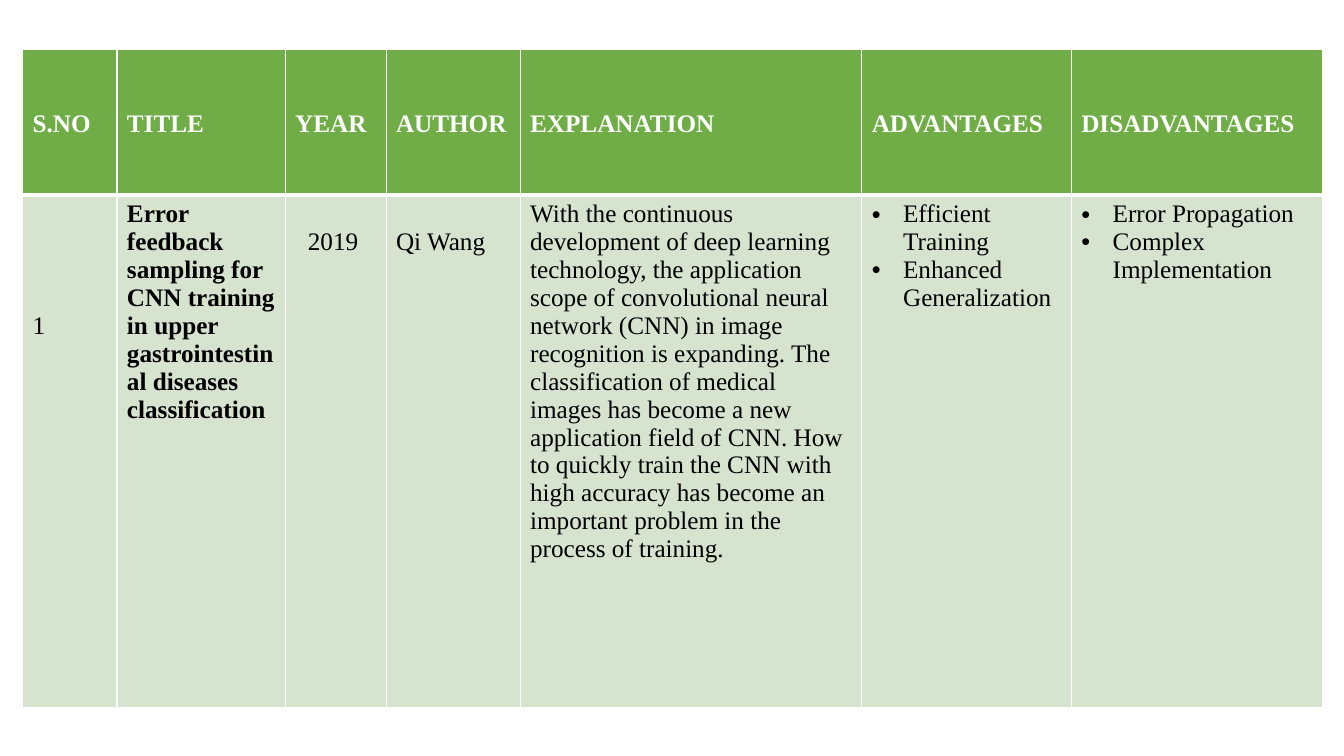
from lxml.etree import SubElement as Sub
from pptx import Presentation
from pptx.dml.color import RGBColor
from pptx.oxml.ns import qn
from pptx.util import Cm, Pt

WHITE = RGBColor(0xFF, 0xFF, 0xFF)
BLACK = RGBColor(0, 0, 0)
GREEN = RGBColor(0x70, 0xAD, 0x47)
PALE = RGBColor(0xD5, 0xE3, 0xCF)
FONT, SIZE = "Times New Roman", Pt(18)
LINE, PAD, SIDE, HANG = 0.7, 0.13, 0.25, 0.79

HEADS = ["S.NO", "TITLE", "YEAR", "AUTHOR", "EXPLANATION",
         "ADVANTAGES", "DISADVANTAGES"]
STUDY = [
    "1",
    "Error feedback sampling for CNN training in upper gastrointestinal "
    "diseases classification",
    "2019",
    "Qi Wang",
    "With the continuous development of deep learning technology, the "
    "application scope of convolutional neural network (CNN) in image "
    "recognition is expanding. The classification of medical images has "
    "become a new application field of CNN. How to quickly train the CNN "
    "with high accuracy has become an important problem in the process of "
    "training.",
    ["Efficient Training", "Enhanced Generalization"],
    ["Error Propagation", "Complex Implementation"],
]
DROPS = [4, 0, 1, 1, 0, 0, 0]
WIDTHS = [2.38, 4.24, 2.54, 3.38, 8.61, 5.28, 6.32]
HEIGHTS = [3.68, 12.9]


def edge(cell, sides):
    """Draw white cell borders of the given widths."""
    props = cell._tc.get_or_add_tcPr()
    for side, width in sides.items():
        line = Sub(props, qn(f"a:ln{side}"), w=str(Pt(width)))
        fill = Sub(line, qn("a:solidFill"))
        Sub(fill, qn("a:srgbClr"), val=str(WHITE))


def bullet(para):
    """Give a paragraph a hanging bullet."""
    props = para._p.get_or_add_pPr()
    props.set("marL", str(Cm(HANG)))
    props.set("indent", str(-Cm(HANG)))
    Sub(props, qn("a:buFont"), typeface="Arial")
    Sub(props, qn("a:buChar"), char="•")


def write(cell, text, drop, color, bold):
    """Fill a cell with text, starting some lines down."""
    items = text if isinstance(text, list) else [text]
    cell.margin_top = Cm(PAD + drop * LINE)
    cell.margin_left = cell.margin_right = Cm(SIDE)
    frame = cell.text_frame
    frame.text = "\n".join(items)
    for para in frame.paragraphs:
        if items is text:
            bullet(para)
        font = para.font
        font.name, font.size, font.bold = FONT, SIZE, bold
        font.color.rgb = color


def main():
    """Build the literature survey slide."""
    deck = Presentation()
    deck.slide_width, deck.slide_height = Cm(33.87), Cm(19.05)
    slide = deck.slides.add_slide(deck.slide_layouts[6])
    table = slide.shapes.add_table(
        2, len(HEADS), Cm(0.57), Cm(1.24),
        Cm(sum(WIDTHS)), Cm(sum(HEIGHTS))).table
    for row, height in zip(table.rows, HEIGHTS):
        row.height = Cm(height)
    for col, width in enumerate(WIDTHS):
        table.columns[col].width = Cm(width)
        head, body = table.cell(0, col), table.cell(1, col)
        edge(head, {"L": 1, "R": 1, "T": 1, "B": 3})
        edge(body, {"L": 1, "R": 1, "T": 3, "B": 1})
        for cell, color in ((head, GREEN), (body, PALE)):
            cell.fill.solid()
            cell.fill.fore_color.rgb = color
        write(head, HEADS[col], 2, WHITE, True)
        write(body, STUDY[col], DROPS[col], BLACK, HEADS[col] == "TITLE")
    table.cell(1, HEADS.index("YEAR")).margin_left = Cm(0.57)
    deck.save("out.pptx")


if __name__ == "__main__":
    main()
